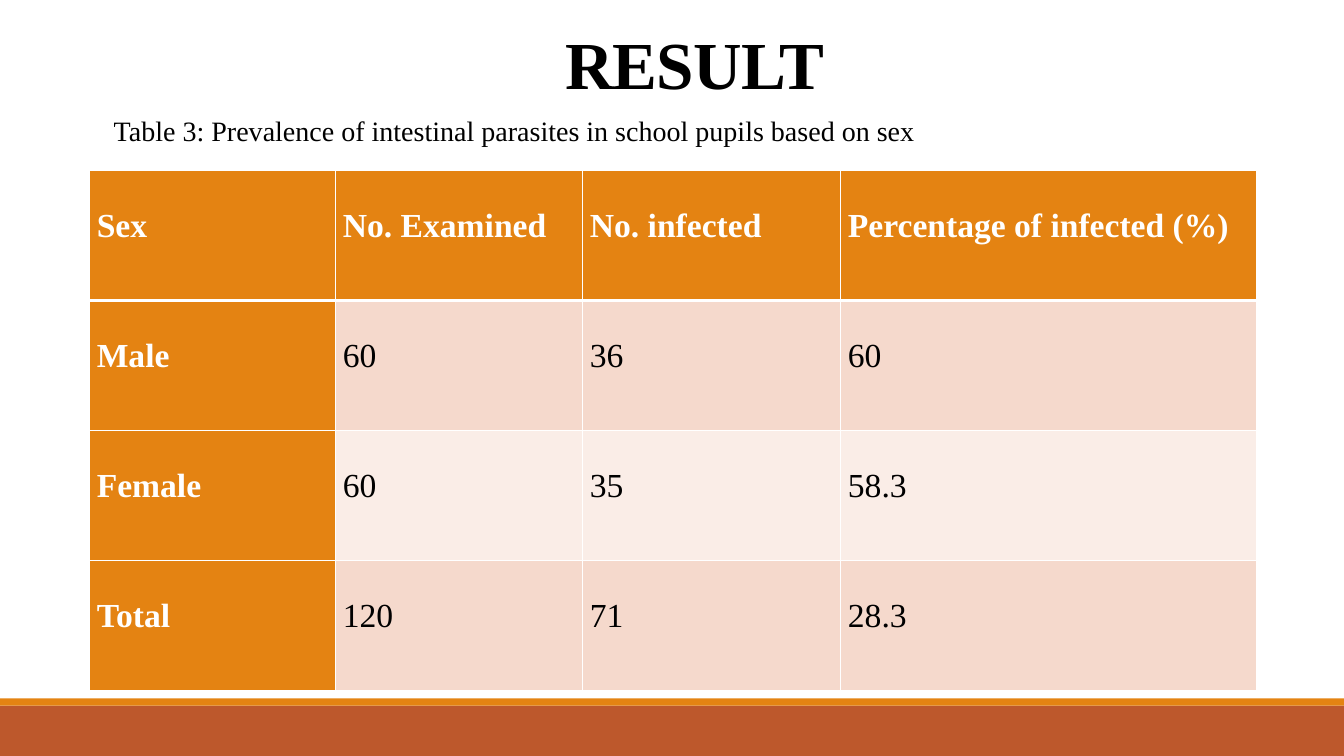
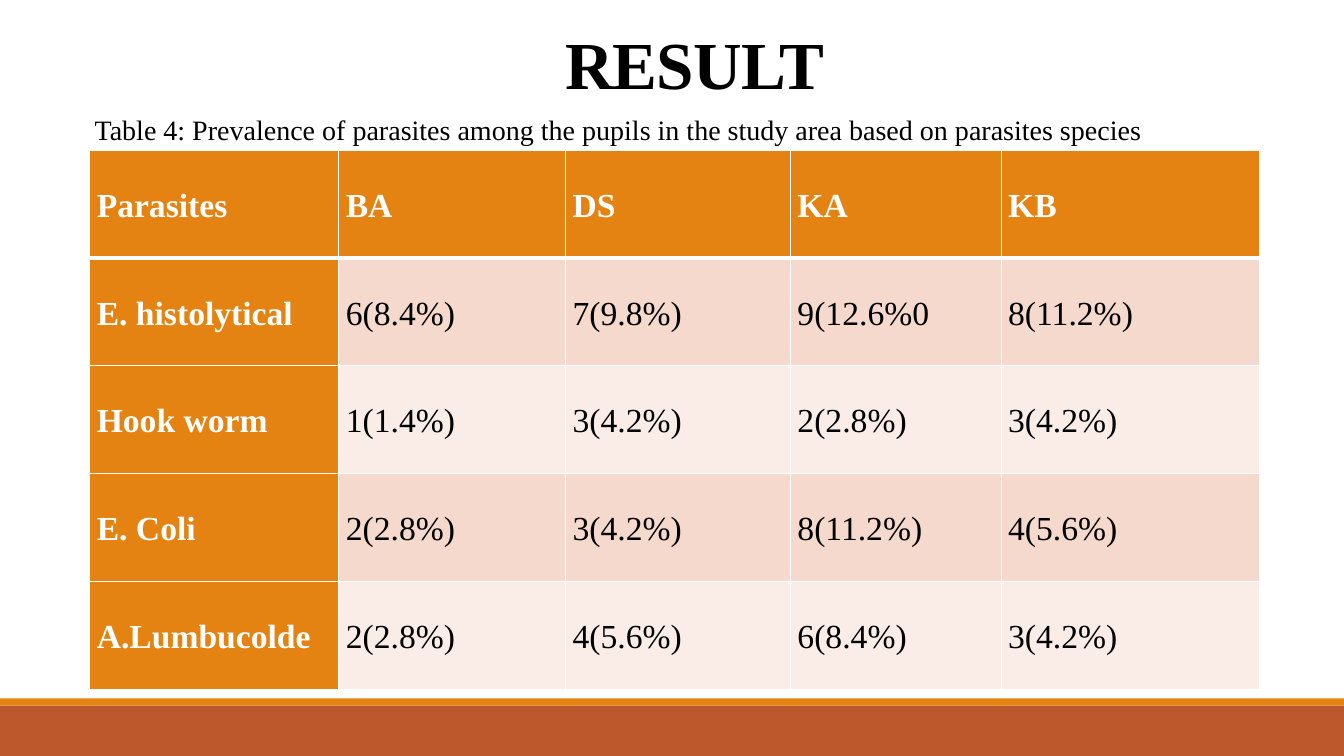
from lxml import etree
from pptx import Presentation
from pptx import util as u
from pptx.dml import color
from pptx.enum import shapes, text
from pptx.oxml import ns

FONT = "Times New Roman"
WHITE, BLACK = "FFFFFF", "000000"
ORANGE, RUST = "E48312", "BD582C"
STRIPES = ("F5D9CC", "FAEDE7")
PAGE_WIDTH, PAGE_HEIGHT = 13.33, 7.5
TABLE_LEFT = 0.89

RESULTS = [
    {
        "caption": "Table 3: Prevalence of intestinal parasites in school pupils based on sex",
        "caption_at": (1.03, 1.07, 8.27, 0.44),
        "table_top": 1.69,
        "row_height": 1.29,
        "widths": (2.44, 2.45, 2.56, 4.12),
        "rows": [
            ("Sex", "No. Examined", "No. infected", "Percentage of infected (%)"),
            ("Male", "60", "36", "60"),
            ("Female", "60", "35", "58.3"),
            ("Total", "120", "71", "28.3"),
        ],
    },
    {
        "caption": "Table 4: Prevalence of parasites among the pupils in the study area "
                   "based on parasites species",
        "caption_at": (0.84, 1.06, 10.73, 0.44),
        "table_top": 1.49,
        "row_height": 1.07,
        "widths": (2.47, 2.25, 2.23, 2.09, 2.56),
        "rows": [
            ("Parasites", "BA", "DS", "KA", "KB"),
            ("E. histolytical", "6(8.4%)", "7(9.8%)", "9(12.6%0", "8(11.2%)"),
            ("Hook worm", "1(1.4%)", "3(4.2%)", "2(2.8%)", "3(4.2%)"),
            ("E. Coli", "2(2.8%)", "3(4.2%)", "8(11.2%)", "4(5.6%)"),
            ("A.Lumbucolde", "2(2.8%)", "4(5.6%)", "6(8.4%)", "3(4.2%)"),
        ],
    },
]


def rgb(value):
    return color.RGBColor.from_string(value)


def write(frame, content, *, size, fill=BLACK, bold=False, align="LEFT",
          line_spacing=1.0, tracking=0):
    para = frame.paragraphs[0]
    para.alignment = getattr(text.PP_ALIGN, align)
    para.line_spacing = line_spacing
    span = para.add_run()
    span.text = content
    span.font.name = FONT
    span.font.size = u.Pt(size)
    span.font.bold = bold
    span.font.color.rgb = rgb(fill)
    if tracking:
        span.font._element.set("spc", str(int(tracking * 100)))


def add_text(page, at, content, *, anchor="MIDDLE", **style):
    box = page.shapes.add_textbox(*map(u.Inches, at))
    box.text_frame.word_wrap = True
    box.text_frame.vertical_anchor = getattr(text.MSO_ANCHOR, anchor)
    write(box.text_frame, content, **style)


def add_band(page, top, height, fill):
    band = page.shapes.add_shape(
        shapes.MSO_SHAPE.RECTANGLE, 0, u.Inches(top), u.Inches(PAGE_WIDTH), u.Inches(height))
    band.shadow.inherit = False
    band.fill.solid()
    band.fill.fore_color.rgb = rgb(fill)
    band.line.fill.background()


def set_borders(cell, top, bottom):
    properties = cell._tc.get_or_add_tcPr()
    for side, width in (("L", 1), ("R", 1), ("T", top), ("B", bottom)):
        line = etree.SubElement(properties, ns.qn(f"a:ln{side}"), w=str(u.Pt(width)))
        solid = etree.SubElement(line, ns.qn("a:solidFill"))
        etree.SubElement(solid, ns.qn("a:srgbClr"), val=WHITE)


def format_cell(cell, content, row, column):
    heading = row == 0 or column == 0
    cell.margin_left = cell.margin_right = u.Inches(0.07)
    cell.margin_top = cell.margin_bottom = 0
    set_borders(cell, top=3 if row == 1 else 1, bottom=3 if row == 0 else 1)
    cell.fill.solid()
    cell.fill.fore_color.rgb = rgb(ORANGE if heading else STRIPES[(row - 1) % 2])
    write(cell.text_frame, content, size=24, bold=heading,
          fill=WHITE if heading else BLACK, line_spacing=2.0)


def add_result_table(page, top, row_height, widths, rows):
    frame = page.shapes.add_table(
        len(rows), len(widths), u.Inches(TABLE_LEFT), u.Inches(top),
        u.Inches(sum(widths)), u.Inches(row_height * len(rows)))
    table = frame.table
    for column, width in zip(table.columns, widths):
        column.width = u.Inches(width)
    for row_index, values in enumerate(rows):
        table.rows[row_index].height = u.Inches(row_height)
        for column_index, value in enumerate(values):
            format_cell(table.cell(row_index, column_index), value, row_index, column_index)


def add_result_page(deck, result):
    page = deck.slides.add_slide(deck.slide_layouts[6])
    add_band(page, 7, 0.5, RUST)
    add_band(page, 6.93, 0.07, ORANGE)
    add_text(page, (TABLE_LEFT, 0.13, 12, 0.94), "RESULT", anchor="BOTTOM", size=48,
             bold=True, align="CENTER", line_spacing=0.85, tracking=-0.5)
    add_result_table(page, result["table_top"], result["row_height"],
                     result["widths"], result["rows"])
    add_text(page, result["caption_at"], result["caption"], size=20)


def main():
    deck = Presentation()
    deck.slide_width = u.Inches(PAGE_WIDTH)
    deck.slide_height = u.Inches(PAGE_HEIGHT)
    for result in RESULTS:
        add_result_page(deck, result)
    deck.save("out.pptx")


if __name__ == "__main__":
    main()
